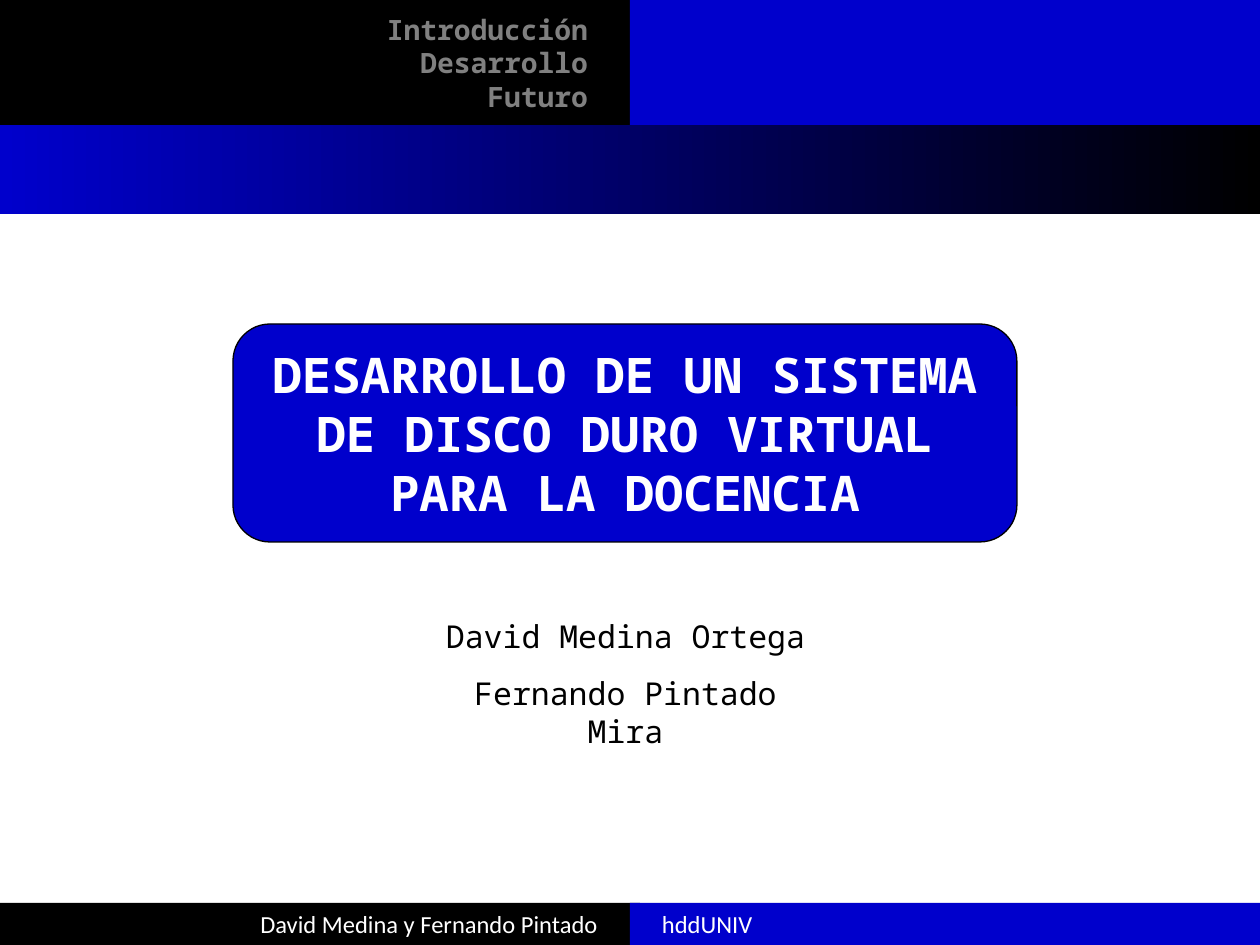
import pptx
import pptx.util
import pptx.dml.color
import pptx.enum.shapes
import pptx.enum.text

PX = 914400 // 126
MONO, SANS = "Noto Sans Mono", "Calibri"
BLACK, BLUE, WHITE, GRAY = "000000", "0000CC", "FFFFFF", "808080"
ALIGN = pptx.enum.text.PP_ALIGN
ANCHOR = pptx.enum.text.MSO_ANCHOR
KIND = pptx.enum.shapes.MSO_SHAPE

SECTIONS = ["Introducción", "Desarrollo", "Futuro"]
TITLE = "DESARROLLO DE UN SISTEMA DE DISCO DURO VIRTUAL PARA LA DOCENCIA"
AUTHORS = ["David Medina Ortega", "Fernando Pintado Mira"]
FOOTER_AUTHORS = "David Medina y Fernando Pintado"
FOOTER_PROJECT = "hddUNIV"

WIDTH, HEIGHT = 1260, 945
HALF = WIDTH // 2
HEADER_H, BAND_H, FOOTER_Y = 125, 89, 903
FOOTER_H = HEIGHT - FOOTER_Y


def px(n):
    return pptx.util.Emu(n * PX)


def rgb(value):
    return pptx.dml.color.RGBColor.from_string(value)


def add_box(s, box, fill, kind=KIND.RECTANGLE):
    sp = s.shapes.add_shape(kind, *map(px, box))
    sp.shadow.inherit = False
    sp.fill.solid()
    sp.fill.fore_color.rgb = rgb(fill)
    sp.line.fill.background()
    return sp


def write(sp, paragraphs, font, size, color, align, bold=False,
          anchor=ANCHOR.TOP, left=13, right=13, before=0):
    tf = sp.text_frame
    tf.word_wrap = True
    tf.vertical_anchor = anchor
    tf.margin_left, tf.margin_right = px(left), px(right)
    tf.margin_top = tf.margin_bottom = px(6)
    for i, lines in enumerate(paragraphs):
        p = tf.add_paragraph() if i else tf.paragraphs[0]
        p.alignment = align
        p.space_before = pptx.util.Pt(before)
        for j, line in enumerate(lines):
            if j:
                p.add_line_break()
            r = p.add_run()
            r.text = line
            r.font.name = font
            r.font.size = pptx.util.Pt(size)
            r.font.bold = bold
            r.font.color.rgb = rgb(color)


prs = pptx.Presentation()
prs.slide_width, prs.slide_height = px(WIDTH), px(HEIGHT)
s = prs.slides.add_slide(prs.slide_layouts[6])

header = add_box(s, (0, 0, HALF, HEADER_H), BLACK)
write(header, [SECTIONS], MONO, 16, GRAY, ALIGN.RIGHT, bold=True,
      anchor=ANCHOR.MIDDLE, right=42)

footer_left = add_box(s, (0, FOOTER_Y, HALF + 10, FOOTER_H), BLACK)
write(footer_left, [[FOOTER_AUTHORS]], SANS, 14, WHITE, ALIGN.RIGHT, right=42, before=8.8)

footer_right = add_box(s, (HALF, FOOTER_Y, HALF, FOOTER_H), BLUE)
write(footer_right, [[FOOTER_PROJECT]], SANS, 14, WHITE, ALIGN.LEFT, left=32, before=8.8)

band = add_box(s, (0, HEADER_H, WIDTH, BAND_H), BLUE)
band.fill.gradient()
band.fill.gradient_angle = 0
for stop, color in zip(band.fill.gradient_stops, (BLUE, BLACK)):
    stop.color.rgb = rgb(color)

add_box(s, (HALF, 0, HALF, HEADER_H), BLUE)

title = add_box(s, (233, 324, 784, 218), BLUE, KIND.ROUNDED_RECTANGLE)
title.adjustments[0] = 0.17
title.line.color.rgb = rgb(BLACK)
title.line.width = pptx.util.Pt(0.75)
write(title, [[TITLE]], MONO, 28, WHITE, ALIGN.CENTER, bold=True, anchor=ANCHOR.MIDDLE)

authors = s.shapes.add_textbox(*map(px, (422, 611, 407, 146)))
write(authors, [[name] for name in AUTHORS], MONO, 18, BLACK, ALIGN.CENTER, before=11.2)

prs.save("out.pptx")
